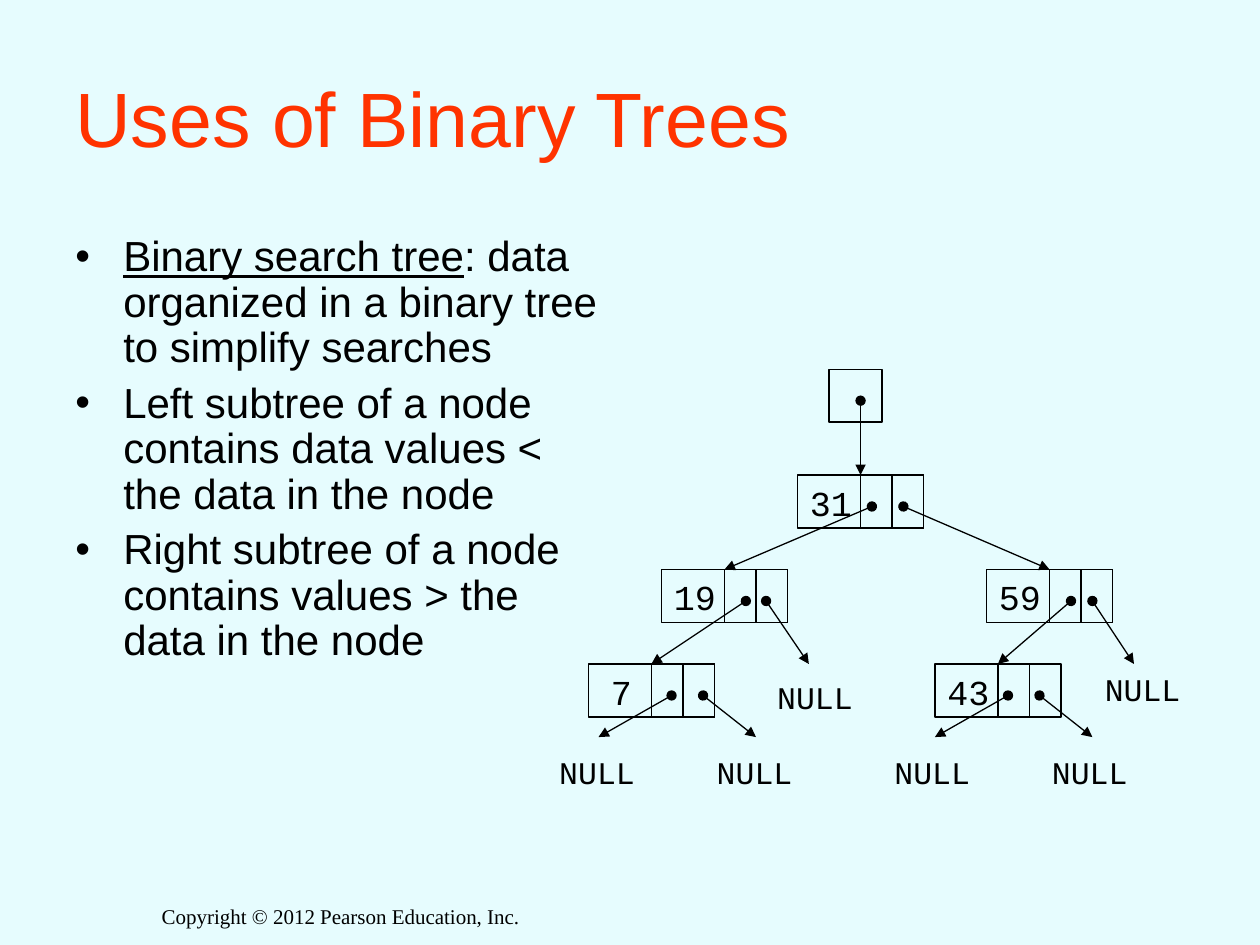
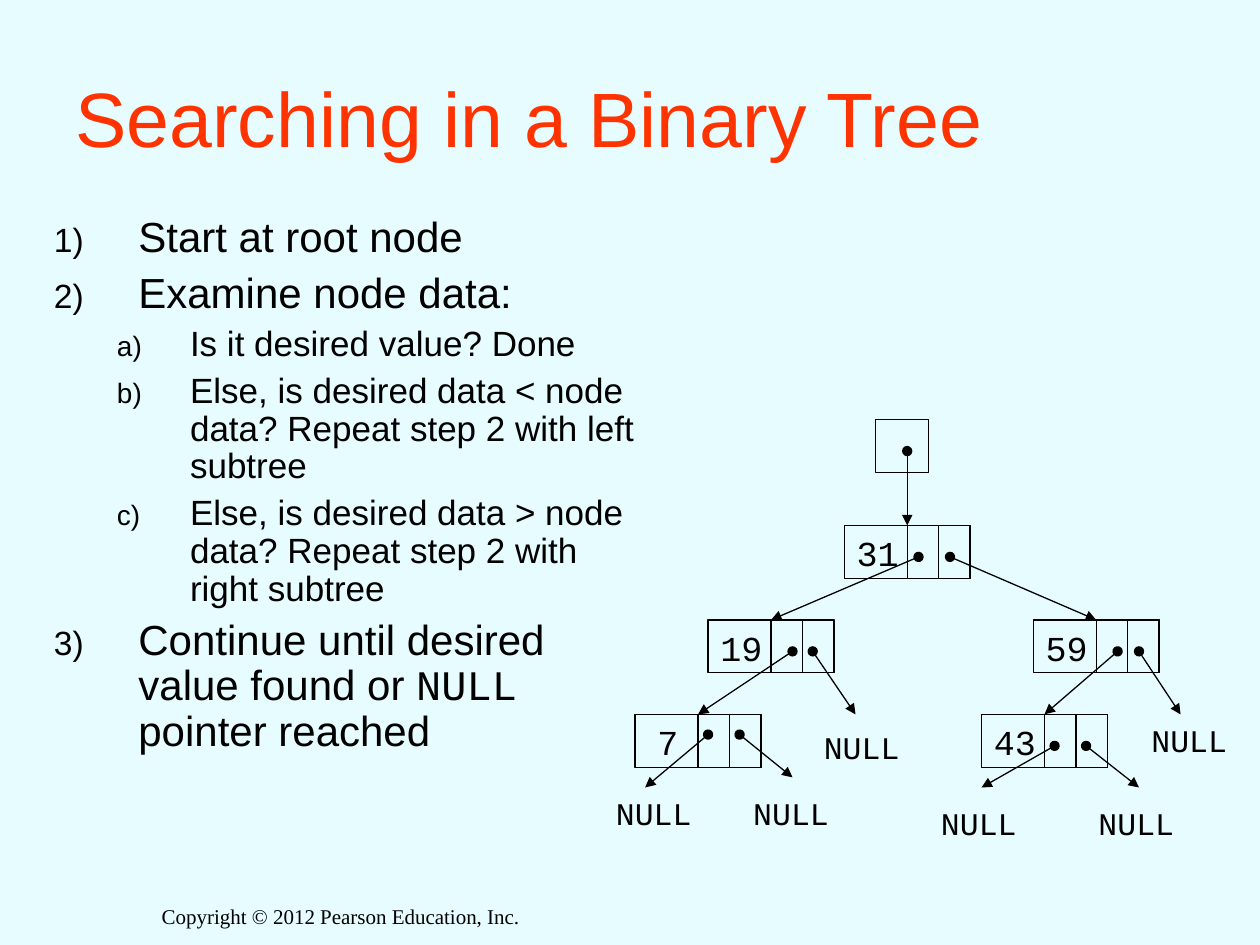
from lxml.etree import SubElement
from pptx import Presentation
from pptx.dml.color import RGBColor
from pptx.enum.shapes import MSO_CONNECTOR, MSO_SHAPE
from pptx.enum.text import MSO_ANCHOR, MSO_AUTO_SIZE, PP_ALIGN
from pptx.oxml.ns import qn
from pptx.util import Inches, Pt

BACKGROUND, TITLE_COLOR, INK = "E6FCFE", "FF3300", "000000"
SANS, MONO, SERIF = "Arial", "Courier New", "Times New Roman"
COPYRIGHT = "Copyright © 2012 Pearson Education, Inc."

# List styles: level, left margin, hanging indent, size, space before, marker
BULLET = (0, 0.38, 0.38, 24, 6, ("a:buChar", "char", "•"))
STEP = (0, 0.67, 0.67, 24, 6, ("a:buAutoNum", "type", "arabicParenR"))
SUBSTEP = (1, 1.08, 0.58, 20, 5, ("a:buAutoNum", "type", "alphaLcParenR"))

# Each list item is a style and its runs; a run is its text and its emphasis
USES = [
    (BULLET, [("Binary search tree", "underline"),
              (": data organized in a binary tree to simplify searches", "")]),
    (BULLET, [("Left subtree of a node contains data values < the data in the node", "")]),
    (BULLET, [("Right subtree of a node contains values > the data in the node", "")]),
]
SEARCHING = [
    (STEP, [("Start at root node", "")]),
    (STEP, [("Examine node data:", "")]),
    (SUBSTEP, [("Is it desired value? Done", "")]),
    (SUBSTEP, [("Else, is desired data < node data? Repeat step 2 with left subtree", "")]),
    (SUBSTEP, [("Else, is desired data > node data? Repeat step 2 with right subtree", "")]),
    (STEP, [("Continue until desired value found or ", ""), ("NULL", "code"),
            (" pointer reached", "")]),
]

# Tree positions are relative to the top left corner of the root pointer box
CELL_HEIGHT, NODE_WIDTH, POINTER_WIDTH = 0.42, 1, 0.25
NODES = {"31": (-0.25, 0.84), "59": (1.25, 1.59), "19": (-1.33, 1.59),
         "7": (-1.91, 2.34), "43": (0.84, 2.34)}
VALUE_INDENT = {"7": 0.08}
# Parent, start of the arrow inside the parent, child
LINKS = [("31", (0.59, 0.25), "19"), ("31", (0.84, 0.25), "59"),
         ("19", (0.67, 0.25), "7"), ("59", (0.67, 0.25), "43")]
# Parent, start inside the parent, tip inside the parent, label offset from the tip
NULLS = [("19", (0.83, 0.25), (1.17, 0.75), (-0.35, 0.06)),
         ("59", (0.84, 0.25), (1.17, 0.75), (-0.33, 0)),
         ("43", (0.58, 0.25), (0, 0.58), (-0.42, 0.08)),
         ("43", (0.83, 0.25), (1.25, 0.58), (-0.42, 0.08))]
USES_NULLS = [("7", (0.66, 0.25), (0.08, 0.58), (-0.41, 0.08)),
              ("7", (0.91, 0.25), (1.33, 0.58), (-0.41, 0.08))]
SEARCHING_NULLS = [("7", (0.58, 0.16), (0.08, 0.58), (-0.33, 0)),
                   ("7", (0.83, 0.16), (1.25, 0.5), (-0.41, 0.08))]

# Title, list box, list items, tree corner, NULL pointers of the node 7
SLIDES = [
    ("Uses of Binary Trees", (0.5, 1.82, 4.42, 4.35), USES, (6.58, 2.93), USES_NULLS),
    ("Searching in a Binary Tree", (0.33, 1.67, 4.92, 5), SEARCHING, (6.95, 3.33),
     SEARCHING_NULLS),
]


def rgb(color):
    return RGBColor.from_string(color)


def shift(point, offset):
    return point[0] + offset[0], point[1] + offset[1]


def style_font(font, name, size, color=INK):
    font.name, font.size = name, Pt(size)
    font.color.rgb = rgb(color)


def add_text(slide, box, text, name, size, color=INK, wrap=True):
    shape = slide.shapes.add_textbox(*map(Inches, box))
    frame = shape.text_frame
    frame.word_wrap = wrap
    frame.auto_size = MSO_AUTO_SIZE.NONE if wrap else MSO_AUTO_SIZE.SHAPE_TO_FIT_TEXT
    frame.text = text
    style_font(frame.paragraphs[0].runs[0].font, name, size, color)
    return frame


def add_list(slide, box, items):
    frame = slide.shapes.add_textbox(*map(Inches, box)).text_frame
    frame.word_wrap = True
    for index, (style, runs) in enumerate(items):
        level, margin, hanging, size, before, (tag, key, marker) = style
        paragraph = frame.add_paragraph() if index else frame.paragraphs[0]
        paragraph.level = level
        paragraph.line_spacing = 0.9
        paragraph.space_before = Pt(before if index else 0)
        # Marker and hanging indent
        properties = paragraph._p.get_or_add_pPr()
        properties.set("marL", str(Inches(margin)))
        properties.set("indent", str(-Inches(hanging)))
        color = SubElement(properties, qn("a:buClr"))
        SubElement(color, qn("a:srgbClr"), val=INK)
        if tag == "a:buAutoNum":
            SubElement(properties, qn("a:buSzPct"), val="80000")
        SubElement(properties, qn("a:buFont"), typeface=SANS)
        SubElement(properties, qn(tag)).set(key, marker)
        for text, emphasis in runs:
            run = paragraph.add_run()
            run.text = text
            style_font(run.font, MONO if emphasis == "code" else SANS, size)
            if emphasis == "underline":
                run.font.underline = True


def add_cell(slide, corner, width):
    shape = slide.shapes.add_shape(
        MSO_SHAPE.RECTANGLE, *map(Inches, (*corner, width, CELL_HEIGHT)))
    shape.shadow.inherit = False
    shape.fill.background()
    shape.line.color.rgb = rgb(INK)
    shape.line.width = Pt(0.75)
    return shape


def add_arrow(slide, start, tip, target=None):
    arrow = slide.shapes.add_connector(
        MSO_CONNECTOR.STRAIGHT, *map(Inches, (*start, *tip)))
    if target is not None:
        arrow.end_connect(target, 0)
    arrow.line.color.rgb = rgb(INK)
    arrow.line.width = Pt(0.75)
    line = arrow.line._get_or_add_ln()
    SubElement(line, qn("a:headEnd"), type="oval")
    SubElement(line, qn("a:tailEnd"), type="triangle")
    SubElement(arrow._element.spPr, qn("a:effectLst"))


def add_tree(slide, corner, nulls):
    corners = {value: shift(corner, offset) for value, offset in NODES.items()}
    # Root pointer and nodes: outer box, two pointer cells, value
    add_cell(slide, corner, CELL_HEIGHT)
    boxes = {}
    for value, (left, top) in corners.items():
        boxes[value] = add_cell(slide, (left, top), NODE_WIDTH)
        for position in (1, 2):
            add_cell(slide, (left + NODE_WIDTH - position * POINTER_WIDTH, top), POINTER_WIDTH)
        add_text(slide, (left + VALUE_INDENT.get(value, 0), top, 0.2 + 0.167 * len(value), 0.44),
                 value, MONO, 20, wrap=False)

    # Arrows to the root and to child nodes
    def add_link(start, child):
        add_arrow(slide, start, shift(corners[child], (NODE_WIDTH / 2, 0)), boxes[child])

    add_link(shift(corner, (0.25, 0.25)), "31")
    for parent, start, child in LINKS:
        add_link(shift(corners[parent], start), child)
    # Arrows to NULL labels
    for parent, start, end, offset in nulls:
        tip = shift(corners[parent], end)
        add_arrow(slide, shift(corners[parent], start), tip)
        add_text(slide, (*shift(tip, offset), 0.8, 0.4), "NULL", MONO, 18, wrap=False)


def main():
    presentation = Presentation()
    presentation.slide_width, presentation.slide_height = Inches(10), Inches(7.5)
    for title, list_box, items, corner, nulls in SLIDES:
        slide = presentation.slides.add_slide(presentation.slide_layouts[6])
        slide.background.fill.solid()
        slide.background.fill.fore_color.rgb = rgb(BACKGROUND)
        # Footer and title
        footer = add_text(slide, (1.08, 7.12, 3.25, 0.61), COPYRIGHT, SERIF, 12)
        footer.paragraphs[0].alignment = PP_ALIGN.CENTER
        heading = add_text(slide, (0.5, 0.3, 9, 1.25), title, SANS, 44, TITLE_COLOR)
        heading.vertical_anchor = MSO_ANCHOR.MIDDLE
        # Content
        add_list(slide, list_box, items)
        add_tree(slide, corner, NULLS + nulls)
    presentation.save("out.pptx")


if __name__ == "__main__":
    main()
